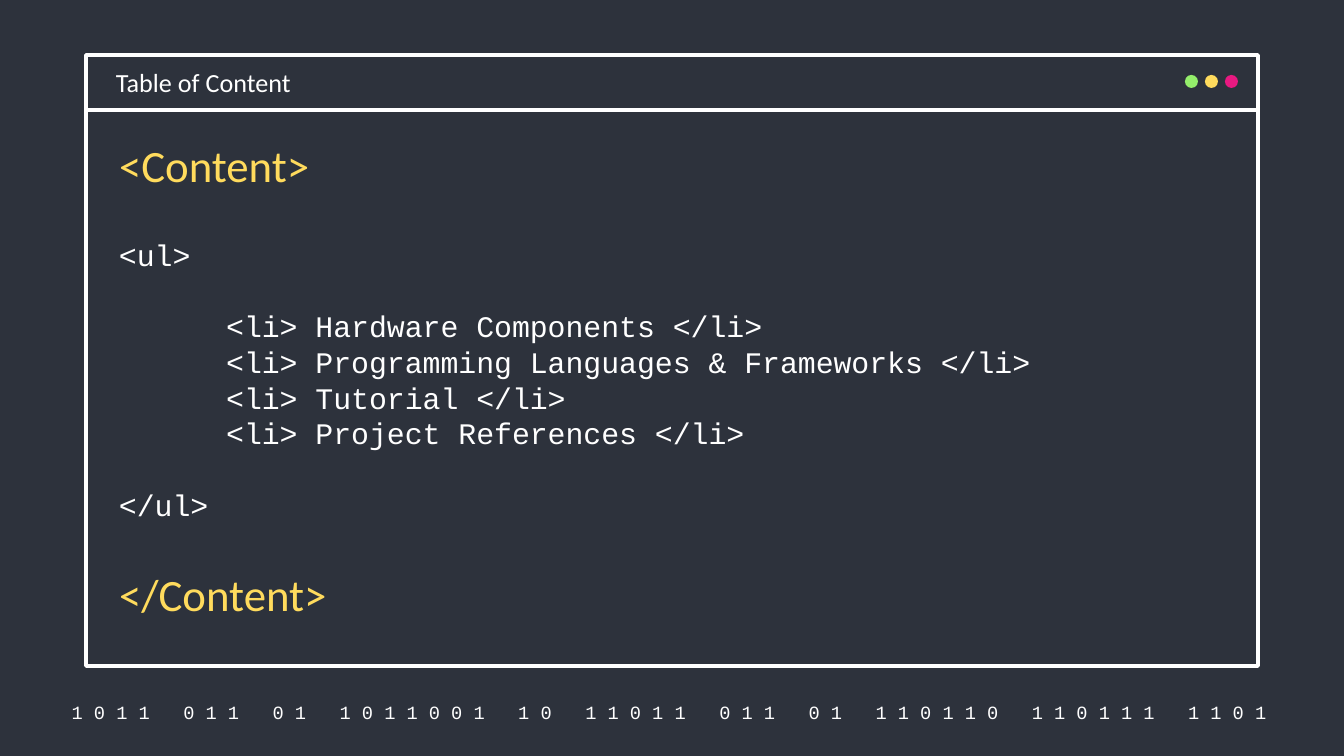
"""Build a table-of-contents slide styled as a code editor window."""
import pptx
import pptx.dml.color
import pptx.enum.shapes
import pptx.enum.text
import pptx.util

RGB = pptx.dml.color.RGBColor
Pt = pptx.util.Pt
SHAPE = pptx.enum.shapes.MSO_SHAPE
ALIGN = pptx.enum.text.PP_ALIGN
ANCHOR = pptx.enum.text.MSO_ANCHOR

NAVY = RGB(0x2D, 0x32, 0x3C)
WHITE = RGB(0xFF, 0xFF, 0xFF)
GREEN = RGB(0x94, 0xEE, 0x6B)
YELLOW = RGB(0xFF, 0xDB, 0x5D)
PINK = RGB(0xE8, 0x19, 0x81)
SANS, MONO = "Calibri", "Courier New"

WINDOW_NAME = "Table of Content"
CONTENT_TAGS = ["<Content>", "</Content>"]
TOPICS = ["Hardware Components", "Programming Languages & Frameworks",
          "Tutorial", "Project References"]
INDENT = "      "
CODE_BLOCKS = [["<ul>"], [f"{INDENT}<li> {topic} </li>" for topic in TOPICS], ["</ul>"]]
BINARY_GROUPS = ["1011", "011", "01", "1011001", "10", "11011", "011", "01",
                 "110110", "110111", "1101"]
DOT_COLOURS = [GREEN, YELLOW, PINK]

WINDOW_LEFT, WINDOW_TOP, WINDOW_WIDTH = 86, 55, 1172
BAR_HEIGHT, PANE_HEIGHT = 55, 556
TEXT_LEFT, TEXT_WIDTH, INSET = 106, 1133, 13
DOT_LEFT, DOT_TOP, DOT_SIZE, DOT_STEP = 1185, 75, 13, 20
TAG_GAP, CODE_LINE = Pt(201), Pt(19.1)


def px(length):
    return round(length * 914400 / 134.4)


def box(*lengths):
    return [px(length) for length in lengths]


def style(font, name, size, colour):
    font.name, font.size, font.color.rgb = name, Pt(size), colour


def prepare(frame, anchor):
    frame.word_wrap = True
    frame.auto_size = pptx.enum.text.MSO_AUTO_SIZE.NONE
    frame.vertical_anchor = anchor
    frame.margin_left = frame.margin_right = px(INSET)
    frame.margin_top = frame.margin_bottom = px(INSET)


def add_filled(shapes, kind, place, fill, line=None):
    shape = shapes.add_shape(kind, *box(*place))
    shape.shadow.inherit = False
    shape.fill.solid()
    shape.fill.fore_color.rgb = fill
    if line is None:
        shape.line.fill.background()
    else:
        shape.line.color.rgb = line
        shape.line.width = Pt(2)
    return shape


def add_binary_footer(shapes):
    footer = shapes.add_textbox(*box(46, 699, 1246, 27)).text_frame
    prepare(footer, ANCHOR.MIDDLE)
    row = footer.paragraphs[0]
    row.alignment = ALIGN.CENTER
    for index, group in enumerate(BINARY_GROUPS):
        if index:
            gap = row.add_run()
            gap.text = " "
            style(gap.font, MONO, 10, WHITE)
            gap.font._element.set("spc", "1200")
        digits = row.add_run()
        digits.text = " ".join(group)
        style(digits.font, MONO, 10, WHITE)


def add_window(shapes):
    bar = add_filled(shapes, SHAPE.RECTANGLE,
                     (WINDOW_LEFT, WINDOW_TOP, WINDOW_WIDTH, BAR_HEIGHT), NAVY, WHITE)
    prepare(bar.text_frame, ANCHOR.MIDDLE)
    bar.text_frame.margin_left = px(30)
    caption = bar.text_frame.paragraphs[0]
    caption.text = WINDOW_NAME
    caption.alignment = ALIGN.LEFT
    style(caption.runs[0].font, SANS, 14, WHITE)
    add_filled(shapes, SHAPE.RECTANGLE,
               (WINDOW_LEFT, WINDOW_TOP + BAR_HEIGHT, WINDOW_WIDTH, PANE_HEIGHT), NAVY, WHITE)
    for index, colour in enumerate(DOT_COLOURS):
        add_filled(shapes, SHAPE.OVAL,
                   (DOT_LEFT + index * DOT_STEP, DOT_TOP, DOT_SIZE, DOT_SIZE), colour)


def place_title(shapes):
    title = shapes.title
    shapes.element.append(title.element)
    title.left, title.top, title.width, title.height = box(TEXT_LEFT, 125, TEXT_WIDTH, 607)
    prepare(title.text_frame, ANCHOR.TOP)
    title.text_frame.text = "\n".join(CONTENT_TAGS)
    for index, tag in enumerate(title.text_frame.paragraphs):
        tag.alignment = ALIGN.LEFT
        tag.space_before = TAG_GAP if index else Pt(0)
        style(tag.runs[0].font, SANS, 24, YELLOW)


def add_code(shapes):
    code = shapes.add_textbox(*box(TEXT_LEFT, 224, TEXT_WIDTH, 352)).text_frame
    prepare(code, ANCHOR.TOP)
    code.text = "\n".join(line for block in CODE_BLOCKS for line in block)
    lines = iter(code.paragraphs)
    for number, block in enumerate(CODE_BLOCKS):
        for position in range(len(block)):
            line = next(lines)
            line.line_spacing = CODE_LINE
            line.space_before = CODE_LINE if number and not position else Pt(0)
            style(line.runs[0].font, MONO, 16, WHITE)


def main():
    deck = pptx.Presentation()
    deck.slide_width, deck.slide_height = box(1344, 756)
    slide = deck.slides.add_slide(deck.slide_layouts[5])
    slide.background.fill.solid()
    slide.background.fill.fore_color.rgb = NAVY
    add_binary_footer(slide.shapes)
    add_window(slide.shapes)
    place_title(slide.shapes)
    add_code(slide.shapes)
    deck.save("out.pptx")


if __name__ == "__main__":
    main()
